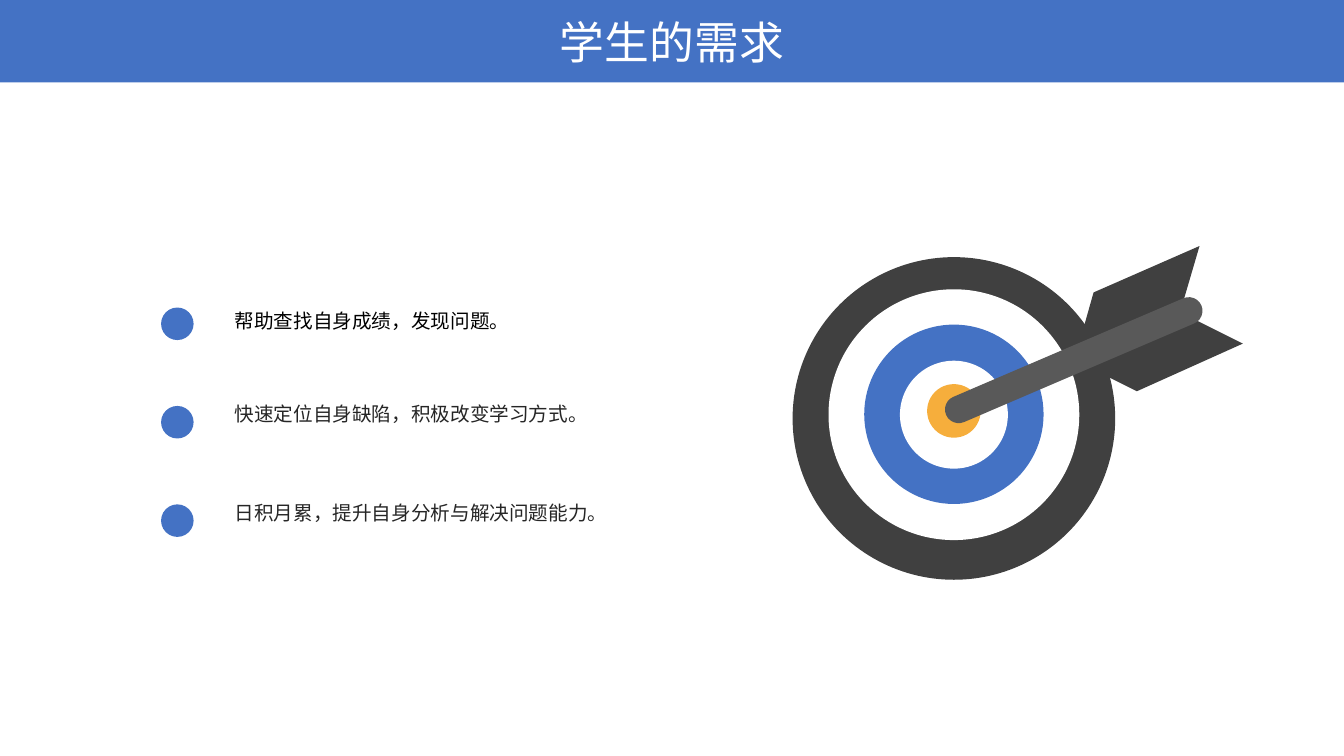
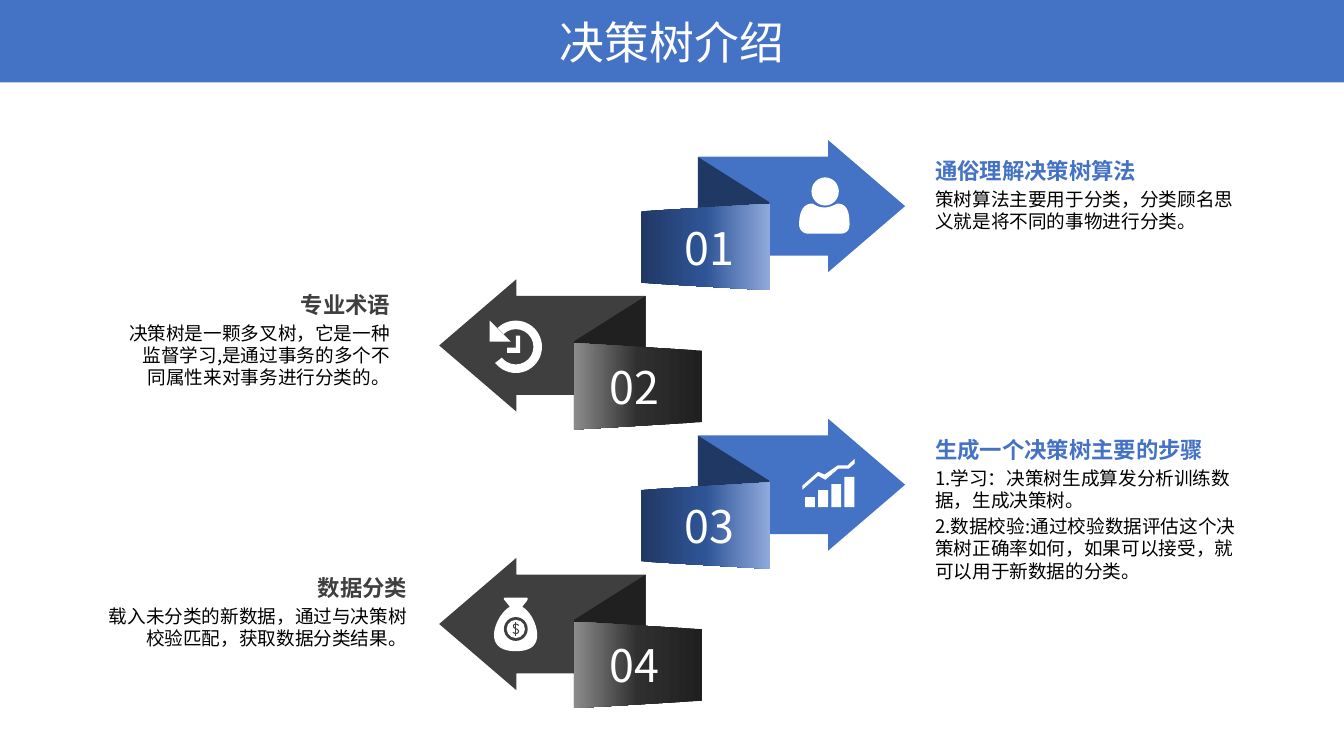
from copy import deepcopy
from dataclasses import dataclass

from lxml import etree
from pptx import Presentation
from pptx import util as u
from pptx.dml.color import RGBColor
from pptx.enum import shapes as es, text as et
from pptx.oxml.ns import qn

FONT = "Noto Sans CJK SC"
WHITE = RGBColor(0xFF, 0xFF, 0xFF)
BLACK = RGBColor(0x00, 0x00, 0x00)
INK = RGBColor(0x26, 0x26, 0x26)
BLUE = RGBColor(0x44, 0x72, 0xC4)
NAVY = RGBColor(0x20, 0x38, 0x64)
MID_BLUE = RGBColor(0x2F, 0x55, 0x97)
PALE_BLUE = RGBColor(0x8F, 0xAA, 0xDC)
CHARCOAL = RGBColor(0x3F, 0x3F, 0x3F)
COAL = RGBColor(0x20, 0x20, 0x20)
MID_COAL = RGBColor(0x2F, 0x2F, 0x2F)
PALE_GREY = RGBColor(0x8C, 0x8C, 0x8C)
TARGET_DARK = RGBColor(0x40, 0x40, 0x40)
SHAFT_GREY = RGBColor(0x59, 0x59, 0x59)
AMBER = RGBColor(0xF6, 0xAE, 0x3C)

SHAPE = es.MSO_SHAPE
ALIGN = et.PP_ALIGN
SLIDE_W, SLIDE_H, BAND_H = 33.87, 19.05, 2.08
Point = tuple[float, float]


@dataclass(frozen=True)
class Need:
    words: str
    text_top: float
    line_pt: int
    color: RGBColor


@dataclass(frozen=True)
class Ring:
    top: float
    size: float
    color: RGBColor


@dataclass(frozen=True)
class RibbonSide:
    """Geometry and colours of a ribbon that points one way."""
    arrow_x: float
    fold_x: float
    panel_x: float
    fold_turn: int
    panel_turn: int
    arrow_flip: str
    fold_flip: str
    panel_flip: str
    text_turn: str
    align: ALIGN
    color: RGBColor
    fold_color: RGBColor
    panel_colors: tuple[RGBColor, RGBColor, RGBColor]


@dataclass(frozen=True)
class Topic:
    side: RibbonSide
    left: float
    top: float
    width: float
    height: float
    heading: str
    body: tuple[str, ...]


NEEDS = (
    Need("帮助查找自身成绩，发现问题。", 7.65, 17, BLACK),
    Need("快速定位自身缺陷，积极改变学习方式。", 9.86, 21, INK),
    Need("日积月累，提升自身分析与解决问题能力。", 12.34, 21, INK),
)
RINGS = (
    Ring(6.48, 8.13, TARGET_DARK),
    Ring(7.29, 6.32, WHITE),
    Ring(8.18, 4.52, BLUE),
    Ring(9.09, 2.72, WHITE),
    Ring(9.68, 1.35, AMBER),
)
RIGHT = RibbonSide(17.6, 16.81, 16.69, 90, 270, "", "HV", "", "vert",
                   ALIGN.LEFT, BLUE, NAVY, (NAVY, MID_BLUE, PALE_BLUE))
LEFT = RibbonSide(11.07, 13.69, 14.99, 270, 90, "H", "V", "H", "vert270",
                  ALIGN.RIGHT, CHARCOAL, COAL, (COAL, MID_COAL, PALE_GREY))
TOPICS = (
    Topic(RIGHT, 23.57, 3.94, 7.82, 1.93, "通俗理解决策树算法",
          ("策树算法主要用于分类，分类顾名思义就是将不同的事物进行分类。",)),
    Topic(LEFT, 3.2, 7.32, 6.63, 2.51, "专业术语",
          ("决策树是一颗多叉树，它是一种监督学习,是通过事务的多个不同属性来对事务进行分类的。",)),
    Topic(RIGHT, 23.57, 10.97, 7.82, 6.5, "生成一个决策树主要的步骤",
          ("1.学习：决策树生成算发分析训练数据，生成决策树。",
           "2.数据校验:通过校验数据评估这个决策树正确率如何，如果可以接受，就可以用于新数据的分类。")),
    Topic(LEFT, 2.44, 14.45, 7.82, 1.93, "数据分类",
          ("载入未分类的新数据，通过与决策树校验匹配，获取数据分类结果。",)),
)


# Shared drawing helpers
def style(paragraph, size: float, color: RGBColor, bold: bool = False,
          align: ALIGN = ALIGN.LEFT) -> None:
    paragraph.alignment = align
    font = paragraph.font
    font.size, font.bold, font.name = u.Pt(size), bold, FONT
    font.color.rgb = color
    props = paragraph._p.pPr.find(qn("a:defRPr"))
    etree.SubElement(props, qn("a:ea"), typeface=FONT)


def paint(shape, color: RGBColor):
    shape.shadow.inherit = False
    shape.fill.solid()
    shape.fill.fore_color.rgb = color
    shape.line.fill.background()
    return shape


def add(slide, kind: SHAPE, x: float, y: float, w: float, h: float,
        color: RGBColor, turn: float = 0, flip: str = "",
        adjust: tuple[float, ...] = ()):
    shape = slide.shapes.add_shape(kind, u.Cm(x), u.Cm(y), u.Cm(w), u.Cm(h))
    shape.rotation = turn
    frame = shape._element.spPr.find(qn("a:xfrm"))
    for axis in flip:
        frame.set(f"flip{axis}", "1")
    for index, value in enumerate(adjust):
        shape.adjustments[index] = value
    return paint(shape, color)


def bezier(p0: Point, p1: Point, p2: Point, p3: Point, steps: int = 10) -> list[Point]:
    ts = [i / steps for i in range(1, steps + 1)]
    return [tuple((1 - t) ** 3 * a + 3 * (1 - t) ** 2 * t * b
                  + 3 * (1 - t) * t ** 2 * c + t ** 3 * d
                  for a, b, c, d in zip(p0, p1, p2, p3)) for t in ts]


def outline(slide, start: Point, *segments: tuple[Point, ...], close: bool = True):
    """Draw segments of one point (a line) or three points (a curve)."""
    points = [start]
    for segment in segments:
        points += bezier(points[-1], *segment) if len(segment) == 3 else segment
    emu = [(u.Cm(x), u.Cm(y)) for x, y in points]
    builder = slide.shapes.build_freeform(*emu[0])
    builder.add_line_segments(emu[1:], close=close)
    return builder.convert_to_shape()


def polygon(slide, color: RGBColor, start: Point, *others: Point) -> None:
    paint(outline(slide, start, *((point,) for point in others)), color)


def text_frame(slide, x: float, y: float, w: float, h: float):
    box = slide.shapes.add_textbox(u.Cm(x), u.Cm(y), u.Cm(w), u.Cm(h))
    box.text_frame.word_wrap = True
    return box.text_frame


def clear_margins(frame) -> None:
    frame.margin_left = frame.margin_right = 0
    frame.margin_top = frame.margin_bottom = 0


def new_slide(deck, heading: str):
    slide = deck.slides.add_slide(deck.slide_layouts[5])
    band = add(slide, SHAPE.RECTANGLE, 0, 0, SLIDE_W, BAND_H, BLUE)
    slide.shapes._spTree.insert(2, band._element)
    title = slide.shapes.title
    title.left, title.top = u.Cm(11.84), u.Cm(0.23)
    title.width, title.height = u.Cm(10.19), u.Cm(1.63)
    frame = title.text_frame
    frame.text = heading
    frame.auto_size = et.MSO_AUTO_SIZE.NONE
    frame.vertical_anchor = et.MSO_ANCHOR.MIDDLE
    clear_margins(frame)
    style(frame.paragraphs[0], 32, WHITE, align=ALIGN.CENTER)
    return slide


# Slide 1: needs beside a target
def draw_target(slide) -> None:
    for ring in RINGS:
        add(slide, SHAPE.OVAL, 24.04 - ring.size / 2, ring.top,
            ring.size, ring.size, ring.color)
    notch, tail = (27.08, 9.07), (29.74, 7.87)
    polygon(slide, TARGET_DARK, notch, (27.56, 7.37), (30.23, 6.2), tail)
    polygon(slide, TARGET_DARK, notch, (28.65, 9.86), (31.32, 8.66), tail)
    add(slide, SHAPE.ROUNDED_RECTANGLE, 23.56, 8.73, 7, 0.69, SHAFT_GREY,
        turn=-23.2, adjust=(0.5,))


def draw_needs(slide) -> None:
    for row, need in enumerate(NEEDS):
        add(slide, SHAPE.OVAL, 4.06, 7.75 + 2.48 * row, 0.82, 0.82, BLUE)
        frame = text_frame(slide, 5.66, need.text_top, 9.86, 0.95)
        frame.margin_right = 0
        paragraph = frame.paragraphs[0]
        paragraph.text = need.words
        paragraph.line_spacing = u.Pt(need.line_pt)
        style(paragraph, 14, need.color)


# Slide 2: folded ribbons, their icons and texts
def fill_gradient(shape, colors: tuple[RGBColor, ...]) -> None:
    fill = shape.fill
    fill.gradient()
    fill.gradient_angle = 270
    stops = shape._element.spPr.find(f"{qn('a:gradFill')}/{qn('a:gsLst')}")
    stops.insert(1, deepcopy(stops[0]))
    for stop, position, color in zip(fill.gradient_stops, (0, 0.5, 1), colors):
        stop.position = position
        stop.color.rgb = color


def draw_ribbon(slide, side: RibbonSide, row: int) -> None:
    top = 3.53 + 3.51 * row
    add(slide, SHAPE.RIGHT_ARROW, side.arrow_x, top, 5.21, 3.33, side.color,
        flip=side.arrow_flip, adjust=(0.748, 0.583))
    add(slide, SHAPE.PARALLELOGRAM, side.fold_x, top + 1.2, 3.35, 1.8,
        side.fold_color, side.fold_turn, side.fold_flip, (0.632,))
    panel = add(slide, SHAPE.TRAPEZOID, side.panel_x, top + 1.07, 2.18, 3.25,
                side.color, side.panel_turn, side.panel_flip, (0.087,))
    fill_gradient(panel, side.panel_colors)
    frame = panel.text_frame
    frame.text = f"{row + 1:02}"
    frame.vertical_anchor = et.MSO_ANCHOR.MIDDLE
    frame._txBody.bodyPr.set("vert", side.text_turn)
    style(frame.paragraphs[0], 32, WHITE, align=ALIGN.CENTER)


def draw_topic_text(slide, topic: Topic) -> None:
    frame = text_frame(slide, topic.left, topic.top, topic.width, topic.height)
    clear_margins(frame)
    heading = frame.paragraphs[0]
    heading.text = topic.heading
    heading.line_spacing = u.Pt(19.5)
    style(heading, 16, topic.side.color, True, topic.side.align)
    for words in topic.body:
        paragraph = frame.add_paragraph()
        paragraph.text = words
        paragraph.line_spacing = u.Pt(16)
        paragraph.space_before = u.Pt(2.7)
        style(paragraph, 13.3, BLACK, align=topic.side.align)


def draw_person(slide) -> None:
    add(slide, SHAPE.OVAL, 20.45, 4.47, 0.69, 0.71, WHITE)
    paint(outline(
        slide, (21.18, 5.89), ((20.37, 5.89),),
        ((20.24, 5.89), (20.14, 5.79), (20.14, 5.66)),
        ((20.14, 5.44), (20.19, 5.13), (20.47, 5.13)),
        ((20.5, 5.13), (20.6, 5.23), (20.78, 5.23)),
        ((20.95, 5.23), (21.08, 5.13), (21.11, 5.13)),
        ((21.39, 5.13), (21.41, 5.44), (21.41, 5.66)),
        ((21.41, 5.79), (21.34, 5.89), (21.18, 5.89))), WHITE)


def draw_history(slide) -> None:
    # Angles of a block arc are stored in 0.6 units per degree
    add(slide, SHAPE.BLOCK_ARC, 12.34, 8.08, 1.32, 1.32, WHITE,
        adjust=(226 * 0.6, 142 * 0.6, 0.163))
    polygon(slide, WHITE, (12.34, 8.08), (12.34, 8.61), (12.87, 8.61))
    polygon(slide, WHITE, (12.78, 8.76), (13, 8.76), (13, 8.46),
            (13.11, 8.46), (13.11, 8.89), (12.78, 8.89))


def draw_growth(slide) -> None:
    for index, height in enumerate((0.25, 0.43, 0.58, 0.76)):
        add(slide, SHAPE.RECTANGLE, 20.29 + 0.33 * index, 12.78 - height,
            0.25, height, WHITE)
    polygon(slide, WHITE, (21.36, 11.73), (21.11, 11.73), (20.78, 11.96),
            (20.62, 11.89), (20.22, 12.24), (20.22, 12.34), (20.62, 11.99),
            (20.8, 12.09), (21.13, 11.81), (21.39, 11.81), (21.54, 11.68),
            (21.54, 11.56))


def draw_money_bag(slide) -> None:
    paint(outline(
        slide, (12.85, 15.29),
        ((12.62, 15.42), (12.45, 15.77), (12.45, 16)),
        ((12.45, 16.31), (12.7, 16.41), (13, 16.41)),
        ((13.31, 16.41), (13.54, 16.31), (13.54, 16)),
        ((13.54, 15.77), (13.39, 15.42), (13.16, 15.29)),
        ((13.28, 15.14),), ((13.31, 15.09), (13.31, 15.06), (13.26, 15.06)),
        ((12.75, 15.06),), ((12.7, 15.06), (12.67, 15.09), (12.73, 15.14))), WHITE)
    for size, color in ((0.6, CHARCOAL), (0.46, WHITE)):
        add(slide, SHAPE.OVAL, 13 - size / 2, 15.85 - size / 2, size, size, color)
    curl = outline(
        slide, (13.07, 15.76), ((13.02, 15.7), (12.93, 15.73), (12.94, 15.78)),
        ((12.95, 15.85), (13.07, 15.84), (13.07, 15.91)),
        ((13.06, 15.98), (12.96, 15.97), (12.93, 15.93)), close=False)
    curl.shadow.inherit = False
    curl.fill.background()
    stem = slide.shapes.add_connector(es.MSO_CONNECTOR.STRAIGHT, u.Cm(13),
                                      u.Cm(15.68), u.Cm(13), u.Cm(16.02))
    etree.SubElement(stem._element.spPr, qn("a:effectLst"))
    for stroke in (curl, stem):
        stroke.line.color.rgb = CHARCOAL
        stroke.line.width = u.Pt(0.75)


def main() -> None:
    deck = Presentation()
    deck.slide_width, deck.slide_height = u.Cm(SLIDE_W), u.Cm(SLIDE_H)

    needs = new_slide(deck, "学生的需求")
    draw_target(needs)
    draw_needs(needs)

    intro = new_slide(deck, "决策树介绍")
    for row, topic in enumerate(TOPICS):
        draw_ribbon(intro, topic.side, row)
    for draw_icon in (draw_person, draw_history, draw_growth, draw_money_bag):
        draw_icon(intro)
    for topic in TOPICS:
        draw_topic_text(intro, topic)

    deck.save("out.pptx")


if __name__ == "__main__":
    main()
